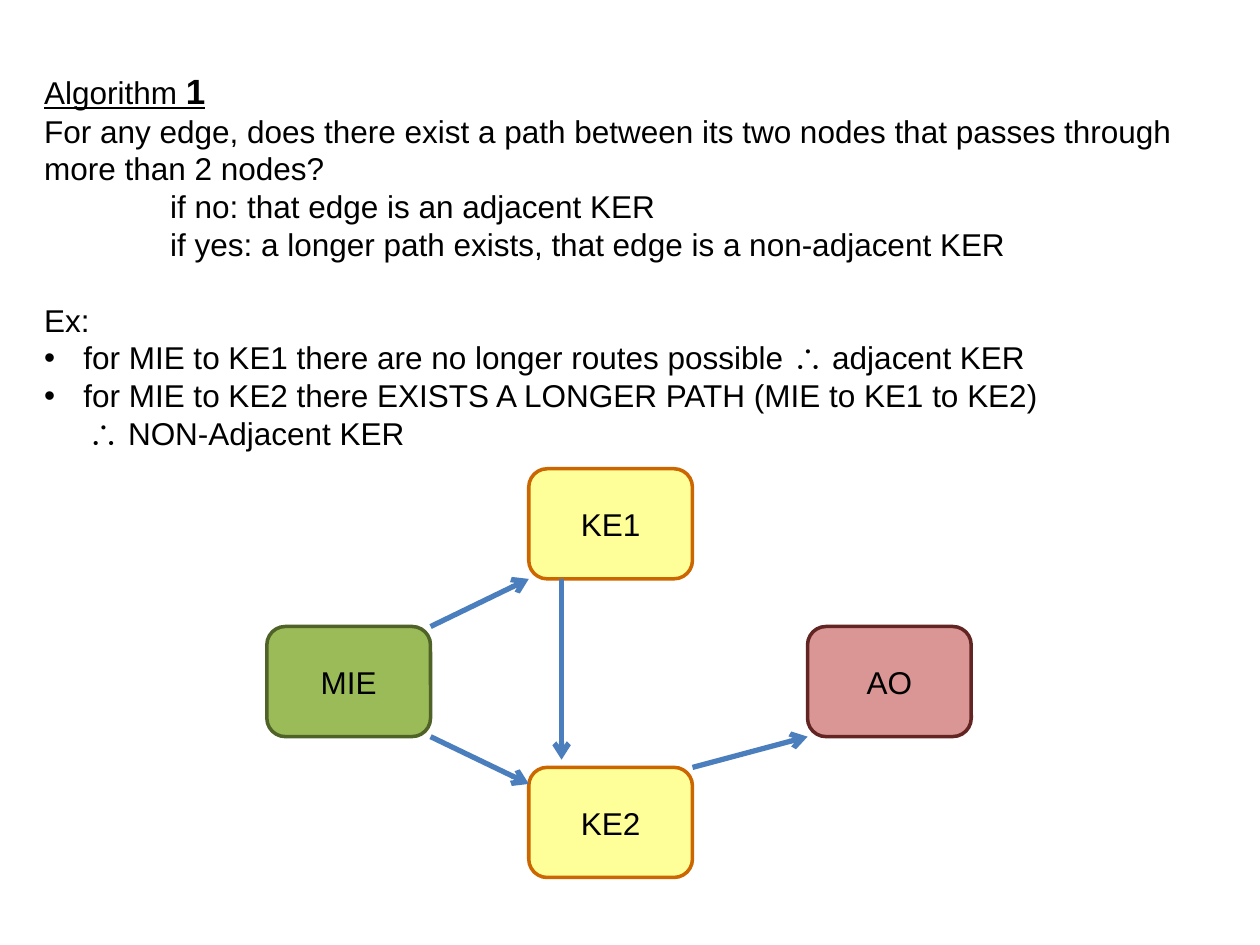
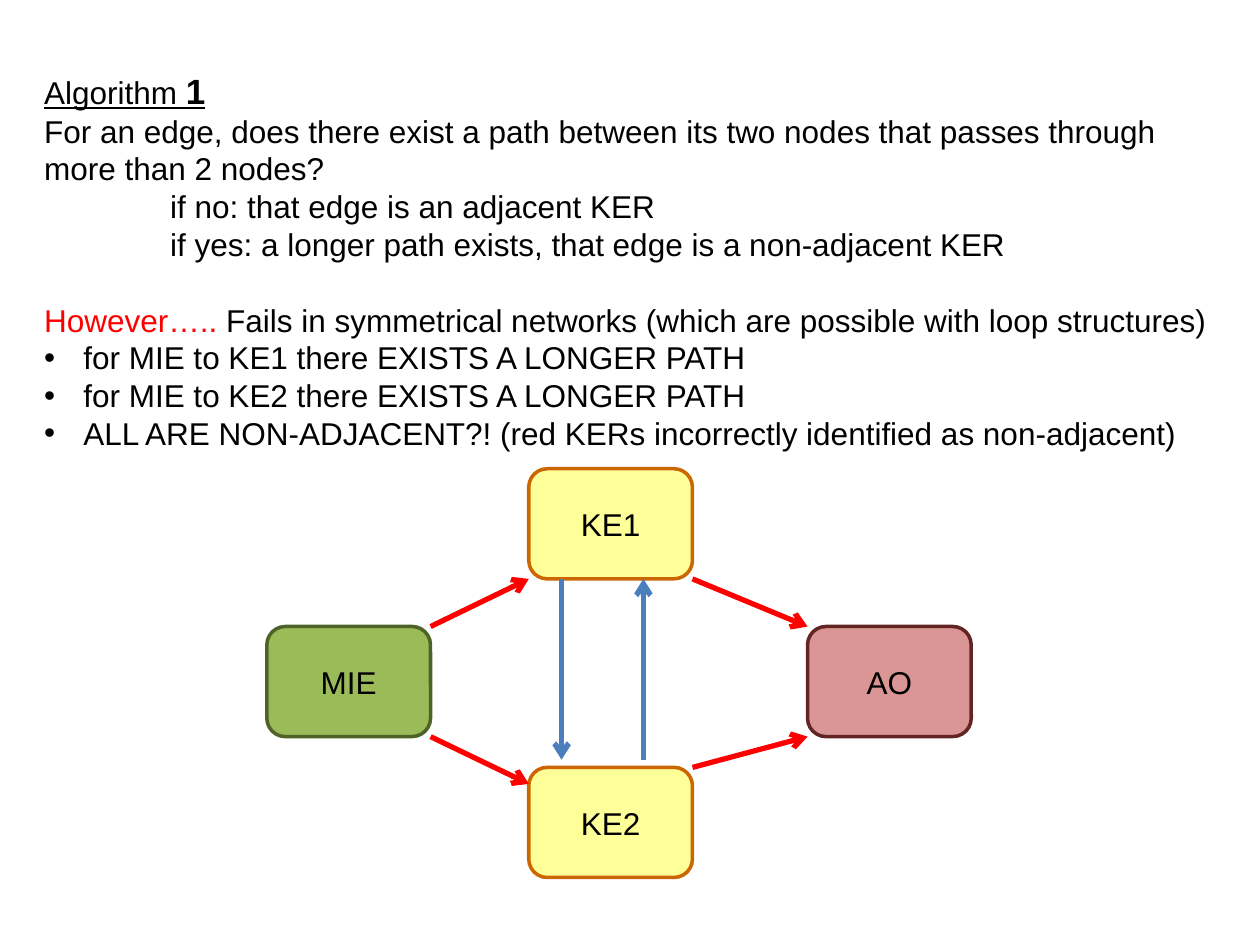
from lxml import etree
from pptx import Presentation
from pptx.dml.color import RGBColor
from pptx.enum.shapes import MSO_CONNECTOR, MSO_SHAPE
from pptx.enum.text import MSO_ANCHOR, MSO_AUTO_SIZE, PP_ALIGN
from pptx.oxml.ns import qn
from pptx.util import Cm, Pt

ROUND = MSO_SHAPE.ROUNDED_RECTANGLE
LINE = MSO_CONNECTOR.STRAIGHT
TOP, MID = MSO_ANCHOR.TOP, MSO_ANCHOR.MIDDLE
FIXED = MSO_AUTO_SIZE.NONE
LEFT, MIDDLE = PP_ALIGN.LEFT, PP_ALIGN.CENTER

HEX = {
    "text": "000000", "red": "FF0000", "blue": "4B7EBC",
    "green": "9BBB59", "moss": "4F6228", "pink": "D99694",
    "wine": "632523", "yellow": "FFFF99", "orange": "CC6600",
}
FONT = "Arial"
NODE_W, NODE_H = 3.3, 2.22
NODES = {
    "MIE": (0, 3.18, "green", "moss"),
    "AO": (10.9, 3.18, "pink", "wine"),
    "KE2": (5.28, 6.02, "yellow", "orange"),
    "KE1": (5.28, 0, "yellow", "orange"),
}
EDGES = {
    "rise": ("MIE", 1, 0, "KE1", 0, 1),
    "fall": ("MIE", 1, 1, "KE2", 0, 0.15),
    "down": ("KE1", 0.2, 1, "KE2", 0.2, -0.07),
    "up": ("KE2", 0.7, -0.07, "KE1", 0.7, 1),
    "upper": ("KE1", 1, 1, "AO", 0, 0),
    "lower": ("KE2", 1, 0, "AO", 0, 1),
}
KINDS = {
    "plain": (0, 0, 0),
    "case": (2.54, 0, 0),
    "lead": (0, 0, 21.6),
    "bullet": (0.79, -0.79, 0),
    "more": (0.88, 0, 0),
}


def rgb(name):
    return RGBColor.from_string(HEX[name])


def apply(item, values):
    for key, value in values.items():
        setattr(item, key, value)


def write(para, text, hue="text", size=18, **extra):
    run = para.add_run()
    run.text = text
    apply(run.font, {"name": FONT, "size": Pt(size), **extra})
    run.font.color.rgb = rgb(hue)


def place(shape, box):
    apply(shape, dict(zip(("left", "top", "width", "height"), map(Cm, box))))
    frame = shape.text_frame
    apply(frame, {
        "word_wrap": True, "auto_size": FIXED, "vertical_anchor": TOP,
        "margin_left": Cm(0.25), "margin_right": Cm(0.25),
        "margin_top": 0, "margin_bottom": 0,
    })
    return frame


def heading(slide, box):
    para = place(slide.shapes.title, box).paragraphs[0]
    apply(para, {"alignment": LEFT, "line_spacing": Pt(24)})
    write(para, "Algorithm ", underline=True)
    write(para, "1", size=20, bold=True, underline=True)


def listing(slide, box, rows):
    frame = place(slide.placeholders[1], box)
    for i, (kind, *runs) in enumerate(rows):
        para = frame.add_paragraph() if i else frame.paragraphs[0]
        left, first, gap = KINDS[kind]
        apply(para, {"alignment": LEFT, "line_spacing": Pt(21.6),
                     "space_before": Pt(gap), "space_after": Pt(0)})
        props = para._p.get_or_add_pPr()
        props.set("marL", str(Cm(left)))
        props.set("indent", str(Cm(first)))
        if kind == "bullet":
            etree.SubElement(props, qn("a:buChar")).set("char", "•")
        else:
            etree.SubElement(props, qn("a:buNone"))
        for text, hue in runs:
            write(para, text, hue)


def node(slide, name, x, y, fill, edge):
    shape = slide.shapes.add_shape(
        ROUND, Cm(x), Cm(y), Cm(NODE_W), Cm(NODE_H))
    shape.shadow.inherit = False
    shape.fill.solid()
    shape.fill.fore_color.rgb = rgb(fill)
    shape.line.color.rgb = rgb(edge)
    shape.line.width = Pt(2)
    shape.text_frame.vertical_anchor = MID
    para = shape.text_frame.paragraphs[0]
    para.alignment = MIDDLE
    write(para, name)


def arrow(slide, start, end, hue):
    link = slide.shapes.add_connector(LINE, *map(Cm, start + end))
    link.line.color.rgb = rgb(hue)
    link.line.width = Pt(3)
    tail = etree.SubElement(link.line._get_or_add_ln(), qn("a:tailEnd"))
    tail.set("type", "arrow")
    etree.SubElement(link._element.spPr, qn("a:effectLst"))


def network(slide, left, top, edges):
    for name, (x, y, fill, edge) in NODES.items():
        node(slide, name, left + x, top + y, fill, edge)

    def point(name, across, down):
        x, y = NODES[name][:2]
        return left + x + across * NODE_W, top + y + down * NODE_H

    for key, hue in edges.items():
        ends = EDGES[key]
        arrow(slide, point(*ends[:3]), point(*ends[3:]), hue)


def page(deck, word, rows, edges):
    slide = deck.slides.add_slide(deck.slide_layouts[1])
    rule = [
        ("plain", (f"For {word} edge, does there exist a path between its two "
                   "nodes that passes through more than 2 nodes?", "text")),
        ("case", ("if no: that edge is an adjacent KER", "text")),
        ("case", ("if yes: a longer path exists, that edge is a "
                  "non-adjacent KER", "text")),
    ]
    heading(slide, (0.64, 1.4, 24.13, 0.85))
    listing(slide, (0.64, 2.25, 24.13, 7), rule + rows)
    network(slide, 5.38, 9.45, edges)


deck = Presentation()
apply(deck, {"slide_width": Cm(25.4), "slide_height": Cm(19.05)})
page(deck, "any", [
    ("lead", ("Ex:", "text")),
    ("bullet", ("for MIE to KE1 there are no longer routes possible "
                "∴ adjacent KER", "text")),
    ("bullet", ("for MIE to KE2 there EXISTS A LONGER PATH "
                "(MIE to KE1 to KE2)", "text")),
    ("more", ("∴ NON-Adjacent KER", "text")),
], dict.fromkeys(("rise", "fall", "down", "lower"), "blue"))
page(deck, "an", [
    ("lead", ("However….. ", "red"),
     ("Fails in symmetrical networks (which are possible with loop "
      "structures)", "text")),
    *[("bullet", (f"for MIE to {name} there EXISTS A LONGER PATH", "text"))
      for name in ("KE1", "KE2")],
    ("bullet", ("ALL ARE NON-ADJACENT?! (red KERs incorrectly identified as "
                "non-adjacent)", "text")),
], {key: "blue" if key in ("down", "up") else "red" for key in EDGES})
deck.save("out.pptx")
